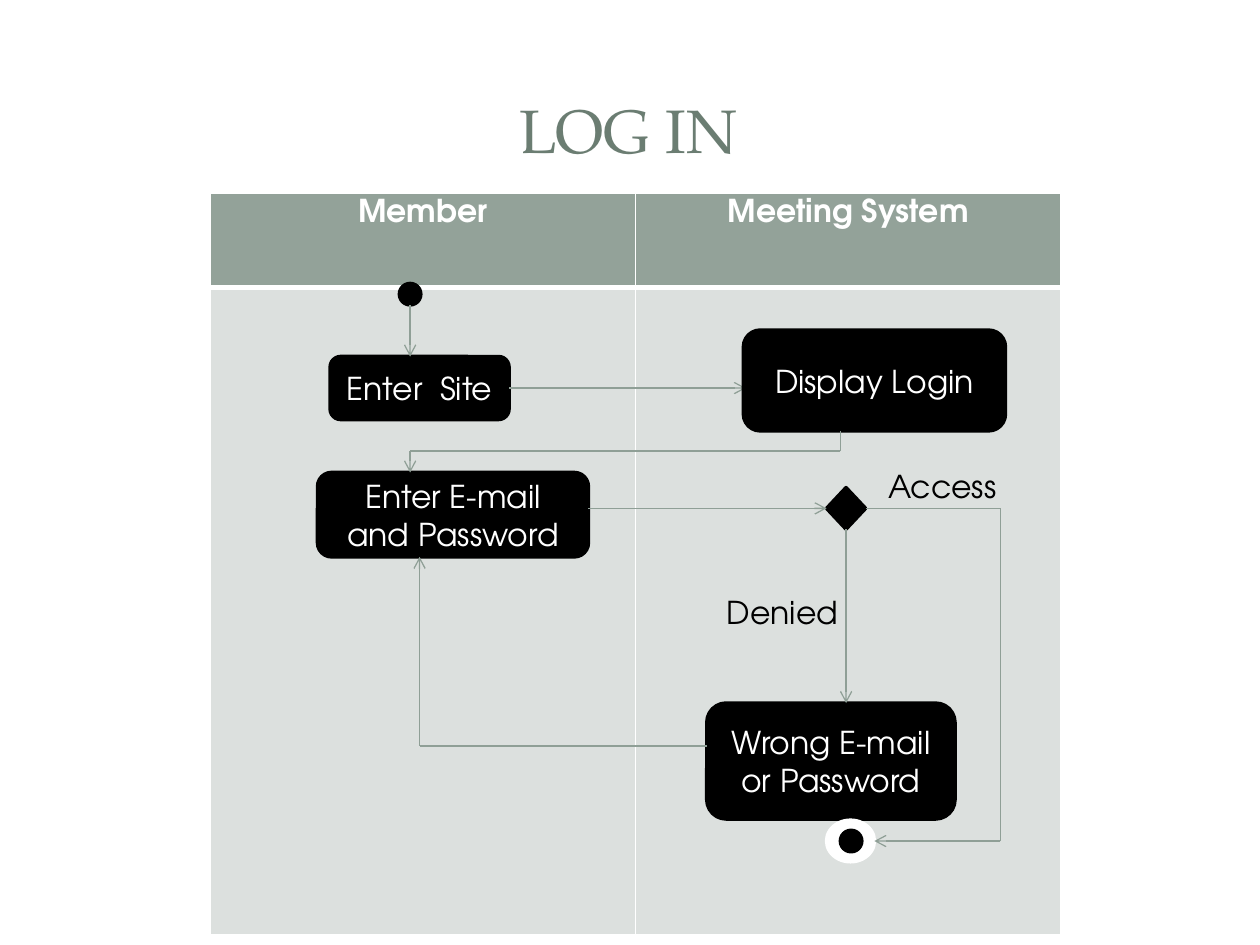
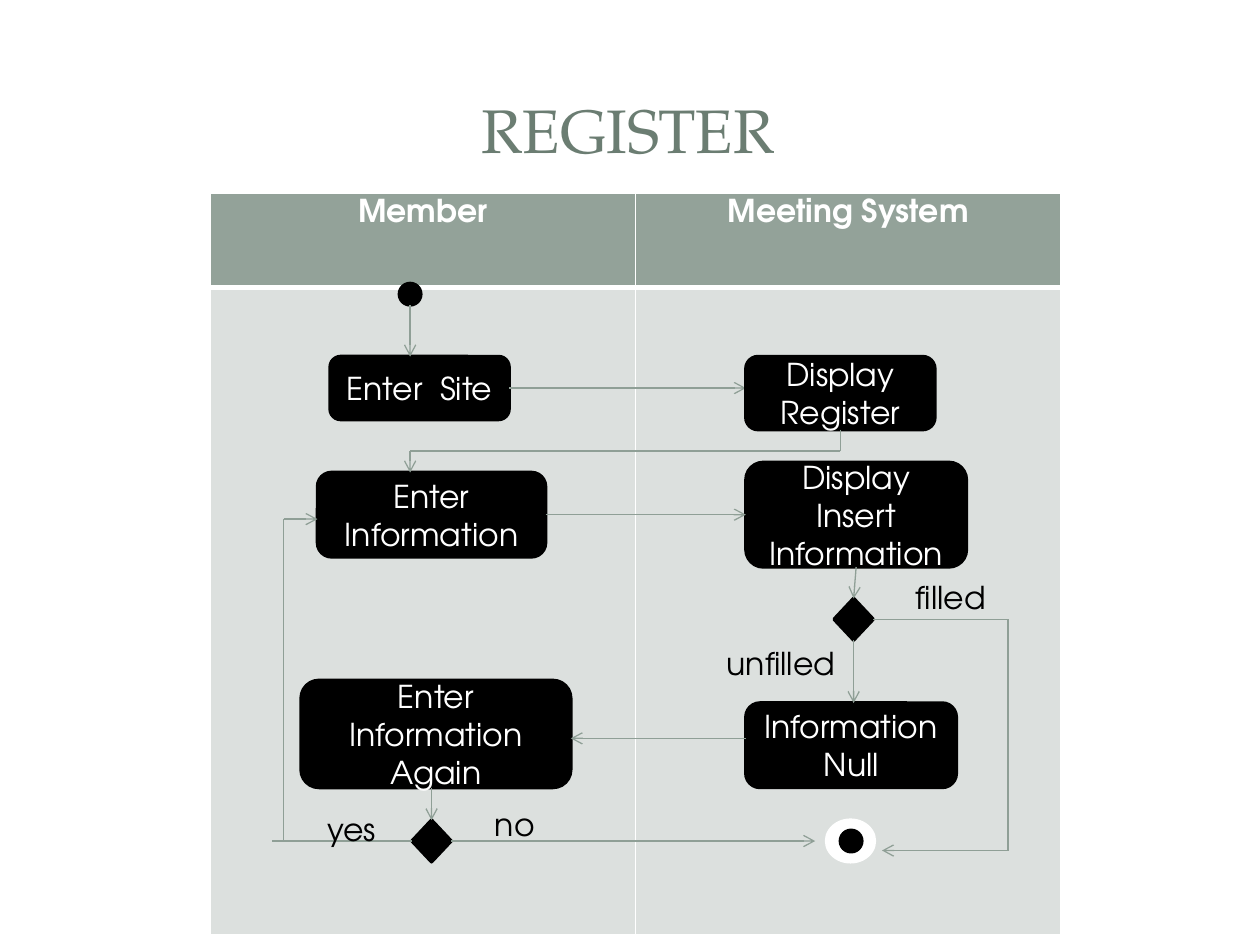
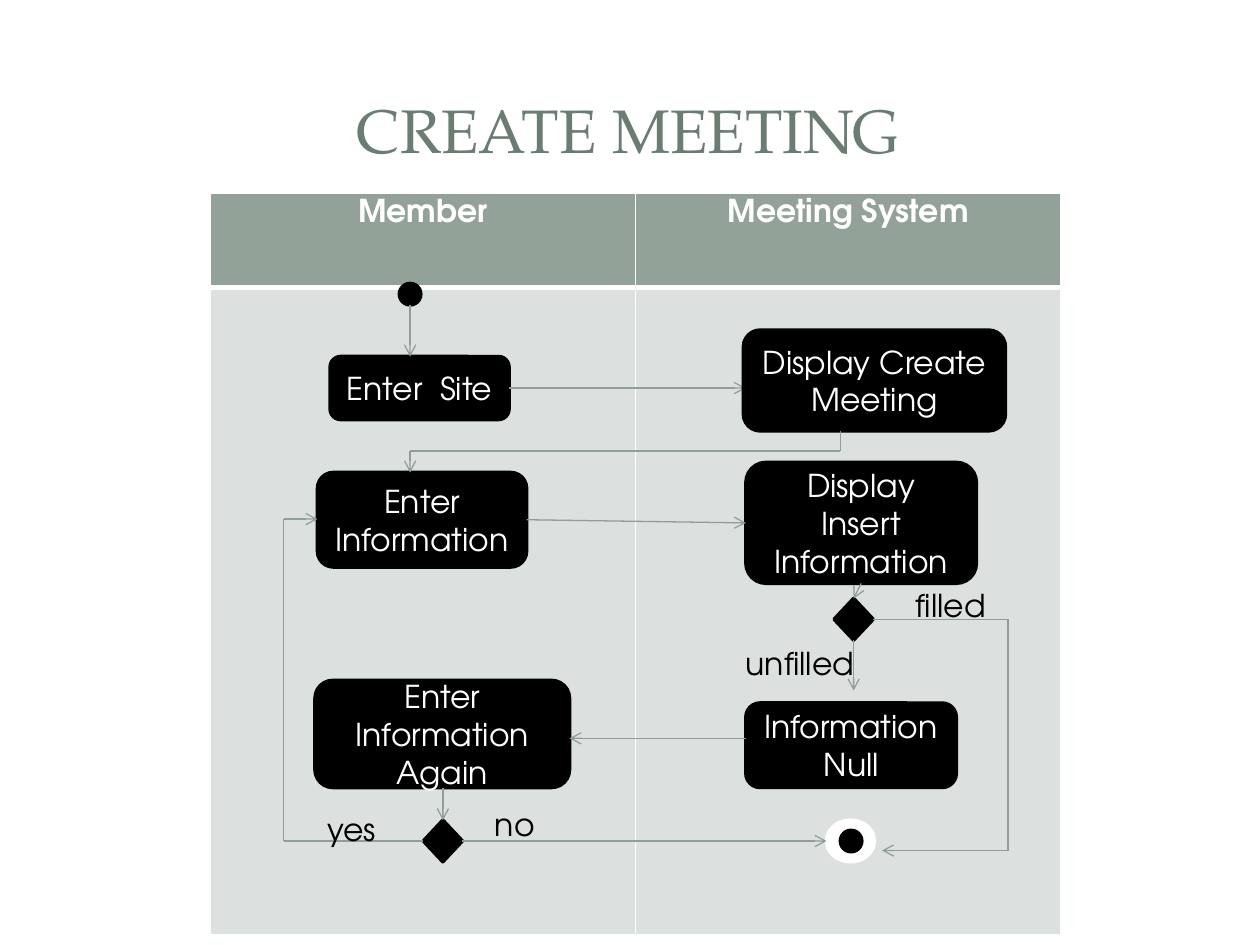
import dataclasses
import itertools

import lxml.etree
import pptx
import pptx.dml.color
import pptx.enum.shapes
import pptx.enum.text
import pptx.oxml.ns
import pptx.util

Inches = pptx.util.Inches
Pt = pptx.util.Pt
SHAPE = pptx.enum.shapes.MSO_SHAPE
ALIGN = pptx.enum.text.PP_ALIGN
ANCHOR = pptx.enum.text.MSO_ANCHOR
qn = pptx.oxml.ns.qn

HEAD_FONT, BODY_FONT = "TeX Gyre Pagella", "TeX Gyre Adventor"
TITLE, HEADER, LANE = "6B7D72", "93A299", "DCE0DE"
ARROW, BLACK, WHITE = "8F9F96", "000000", "FFFFFF"


@dataclasses.dataclass
class Box:
    """A rectangle in inches."""
    x: float
    y: float
    w: float
    h: float

    @property
    def right(self):
        """Return the right edge."""
        return self.x + self.w

    @property
    def bottom(self):
        """Return the bottom edge."""
        return self.y + self.h

    @property
    def cx(self):
        """Return the horizontal centre."""
        return self.x + self.w / 2

    @property
    def cy(self):
        """Return the vertical centre."""
        return self.y + self.h / 2

    def inner(self, dx, dy, w, h):
        """Return a box placed relative to this one."""
        return Box(self.x + dx, self.y + dy, w, h)

    def emu(self):
        """Return left, top, width and height as lengths."""
        return [Inches(v) for v in (self.x, self.y, self.w, self.h)]


TITLE_BOX = Box(0.47, 0.45, 9.03, 1.14)
LANES_BOX = Box(1.67, 1.53, 6.75, 5.89)


def rgb(color):
    """Turn a hex string into a colour."""
    return pptx.dml.color.RGBColor.from_string(color)


def write(tf, text, color, size=18, font=BODY_FONT, bold=False, align=ALIGN.CENTER):
    """Set and format the text of a frame."""
    tf.text = text
    tf.word_wrap = True
    p = tf.paragraphs[0]
    p.alignment = align
    f = p.runs[0].font
    f.name, f.size, f.bold = font, Pt(size), bold
    f.color.rgb = rgb(color)


def add_title(s, text, box):
    """Place and format the title placeholder."""
    sp = s.shapes.title
    sp.left, sp.top, sp.width, sp.height = box.emu()
    sp.text_frame.vertical_anchor = ANCHOR.MIDDLE
    write(sp.text_frame, text, TITLE, 35, HEAD_FONT)


def set_borders(cell, **widths):
    """Give a cell white borders, with widths in points by side."""
    tc_pr = cell._tc.get_or_add_tcPr()
    for i, (side, width) in enumerate(widths.items()):
        ln = lxml.etree.Element(qn("a:ln" + side), w=str(Pt(width)))
        fill = lxml.etree.SubElement(ln, qn("a:solidFill"))
        lxml.etree.SubElement(fill, qn("a:srgbClr"), val=WHITE)
        tc_pr.insert(i, ln)


def add_lanes(s, box):
    """Draw the two swimlanes as a table."""
    table = s.shapes.add_table(2, 2, *box.emu()).table
    for row, height in zip(table.rows, (0.75, box.h - 0.75)):
        row.height = Inches(height)
    for c, name in enumerate(("Member", "Meeting System")):
        head, body = table.cell(0, c), table.cell(1, c)
        for cell, color, top, bottom in ((head, HEADER, 1, 3), (body, LANE, 3, 1)):
            cell.fill.solid()
            cell.fill.fore_color.rgb = rgb(color)
            set_borders(cell, L=1, R=1, T=top, B=bottom)
        write(head.text_frame, name, WHITE, bold=True)


def add_node(s, kind, box, text="", color=BLACK):
    """Draw a filled shape and return its box."""
    sp = s.shapes.add_shape(kind, *box.emu())
    sp.shadow.inherit = False
    sp.fill.solid()
    sp.fill.fore_color.rgb = rgb(color)
    sp.line.color.rgb = rgb(color)
    sp.line.width = Pt(2)
    if text:
        sp.text_frame.vertical_anchor = ANCHOR.MIDDLE
        write(sp.text_frame, text, WHITE)
    return box


def add_step(s, box, text):
    """Draw an activity."""
    return add_node(s, SHAPE.ROUNDED_RECTANGLE, box, text)


def add_decision(s, lanes, dx, dy):
    """Draw a decision diamond."""
    return add_node(s, SHAPE.FLOWCHART_DECISION, lanes.inner(dx, dy, 0.31, 0.33))


def add_end(s, lanes):
    """Draw the ringed final state and return its ring."""
    ring = add_node(s, SHAPE.OVAL, lanes.inner(4.89, 4.98, 0.38, 0.33), color=WHITE)
    add_node(s, SHAPE.OVAL, ring.inner(0.11, 0.08, 0.17, 0.17))
    return ring


def add_label(s, box, text):
    """Write a label beside a branch."""
    tf = s.shapes.add_textbox(*box.emu()).text_frame
    write(tf, text, BLACK, align=ALIGN.LEFT)
    tf.auto_size = pptx.enum.text.MSO_AUTO_SIZE.SHAPE_TO_FIT_TEXT


def add_route(s, *points, arrow=True):
    """Draw straight lines through points, with an arrowhead on the last."""
    for start, end in itertools.pairwise(points):
        line = s.shapes.add_connector(
            pptx.enum.shapes.MSO_CONNECTOR.STRAIGHT,
            *(Inches(v) for v in (*start, *end)))
        line.line.color.rgb = rgb(ARROW)
        line.line.width = Pt(0.75)
        lxml.etree.SubElement(line._element.spPr, qn("a:effectLst"))
    if arrow:
        lxml.etree.SubElement(line.line._get_or_add_ln(), qn("a:tailEnd"), type="arrow")


def add_opening(s, lanes, display_text, display, entry_text, entry_size):
    """Draw the steps from the start to the first entry, and return its box."""
    start = add_node(s, SHAPE.OVAL, lanes.inner(1.5, 0.72, 0.17, 0.17))
    site = add_step(s, lanes.inner(0.95, 1.3, 1.42, 0.5), "Enter  Site")
    add_route(s, (start.cx, start.bottom), (start.cx, site.y))
    add_route(s, (site.right, site.cy), (lanes.x + 4.25, site.cy))
    display = add_step(s, lanes.inner(*display), display_text)
    entry = add_step(s, lanes.inner(0.85, 2.22, *entry_size), entry_text)
    turn_x, turn_y = lanes.x + 5, lanes.y + 2.05
    add_route(s, (turn_x, display.bottom), (turn_x, turn_y),
              (start.cx, turn_y), (start.cx, entry.y))
    return entry


def add_login_flow(s, lanes):
    """Draw the log-in activity."""
    entry = add_opening(s, lanes, "Display Login", (4.23, 1.09, 2.08, 0.8),
                        "Enter E-mail and Password", (2.15, 0.67))
    wrong = add_step(s, lanes.inner(3.94, 4.05, 1.97, 0.92), "Wrong E-mail or Password")
    ring = add_end(s, lanes)
    check = add_decision(s, lanes, 4.89, 2.34)
    add_label(s, lanes.inner(5.28, 2.13, 2, 0.4), "Access")
    add_label(s, lanes.inner(4, 3.13, 2.58, 0.4), "Denied")
    far_x, back_x, back_y = lanes.x + 6.27, lanes.x + 1.66, lanes.y + 4.39
    add_route(s, (entry.right, check.cy), (check.x, check.cy))
    add_route(s, (check.right, check.cy), (far_x, check.cy),
              (far_x, ring.cy), (ring.right, ring.cy))
    add_route(s, (check.cx, check.bottom), (check.cx, wrong.y))
    add_route(s, (wrong.x, back_y), (back_x, back_y), (back_x, entry.bottom))


def add_information_flow(s, lanes, display_text, display, entry_size, insert_size,
                         again_x, again_w, retry_x, filled_y, unfilled_x,
                         unfilled_w, null_gap, end_gap, overshoot):
    """Draw an activity that checks the information entered."""
    entry = add_opening(s, lanes, display_text, display, "Enter Information", entry_size)
    insert = add_step(s, lanes.inner(4.25, 2.14, *insert_size), "Display Insert Information")
    null = add_step(s, lanes.inner(4.25, 4.05, 1.67, 0.67), "Information Null")
    again = add_step(s, lanes.inner(again_x, 3.87, again_w, 0.85), "Enter Information Again")
    ring = add_end(s, lanes)
    check = add_decision(s, lanes, 4.95, 3.22)
    retry = add_decision(s, lanes, retry_x, 4.98)

    add_route(s, (entry.right, entry.cy), (insert.x, insert.cy))
    add_route(s, (insert.cx, insert.bottom), (check.cx, check.y))
    add_route(s, (check.cx, check.bottom), (check.cx, null.y - null_gap))
    far_x, far_y = lanes.x + 6.33, lanes.y + 5.22
    add_route(s, (check.right, check.cy), (far_x, check.cy),
              (far_x, far_y), (far_x - 1, far_y))
    reply_y = lanes.y + 4.33
    add_route(s, (null.x, reply_y), (again.right, reply_y))
    add_route(s, (retry.cx, again.bottom), (retry.cx, retry.y))
    add_route(s, (retry.right, retry.cy), (ring.x - end_gap, retry.cy))
    loop_x, loop_y = lanes.x + 0.58, lanes.y + 2.59
    add_route(s, (retry.x, retry.cy), (loop_x - overshoot, retry.cy), arrow=False)
    add_route(s, (loop_x, retry.cy), (loop_x, loop_y), (entry.x, loop_y))

    add_label(s, lanes.inner(0.83, 4.85, 0.67, 0.4), "yes")
    add_label(s, lanes.inner(2.16, 4.81, 0.69, 0.4), "no")
    add_label(s, lanes.inner(5.5, filled_y, 2, 0.4), "filled")
    add_label(s, lanes.inner(unfilled_x, 3.53, unfilled_w, 0.4), "unfilled")


def add_register_flow(s, lanes):
    """Draw the registration activity."""
    add_information_flow(
        s, lanes, "Display Register", (4.25, 1.3, 1.5, 0.58),
        entry_size=(1.81, 0.67), insert_size=(1.75, 0.83),
        again_x=0.72, again_w=2.14, retry_x=1.6, filled_y=3.01,
        unfilled_x=4, unfilled_w=1.17, null_gap=0, end_gap=0.09, overshoot=0.09)


def add_meeting_flow(s, lanes):
    """Draw the meeting creation activity."""
    add_information_flow(
        s, lanes, "Display Create Meeting", (4.23, 1.09, 2.08, 0.8),
        entry_size=(1.66, 0.75), insert_size=(1.83, 0.96),
        again_x=0.83, again_w=2.02, retry_x=1.69, filled_y=3.07,
        unfilled_x=4.15, unfilled_w=2.58, null_gap=0.1, end_gap=0, overshoot=0)


def main():
    """Build and save the presentation."""
    prs = pptx.Presentation()
    prs.slide_width, prs.slide_height = Inches(10), Inches(7.5)
    for title, add_flow in (("LOG IN", add_login_flow),
                            ("REGISTER", add_register_flow),
                            ("CREATE MEETING", add_meeting_flow)):
        s = prs.slides.add_slide(prs.slide_layouts[5])
        add_title(s, title, TITLE_BOX)
        add_lanes(s, LANES_BOX)
        add_flow(s, LANES_BOX)
    prs.save("out.pptx")


main()
